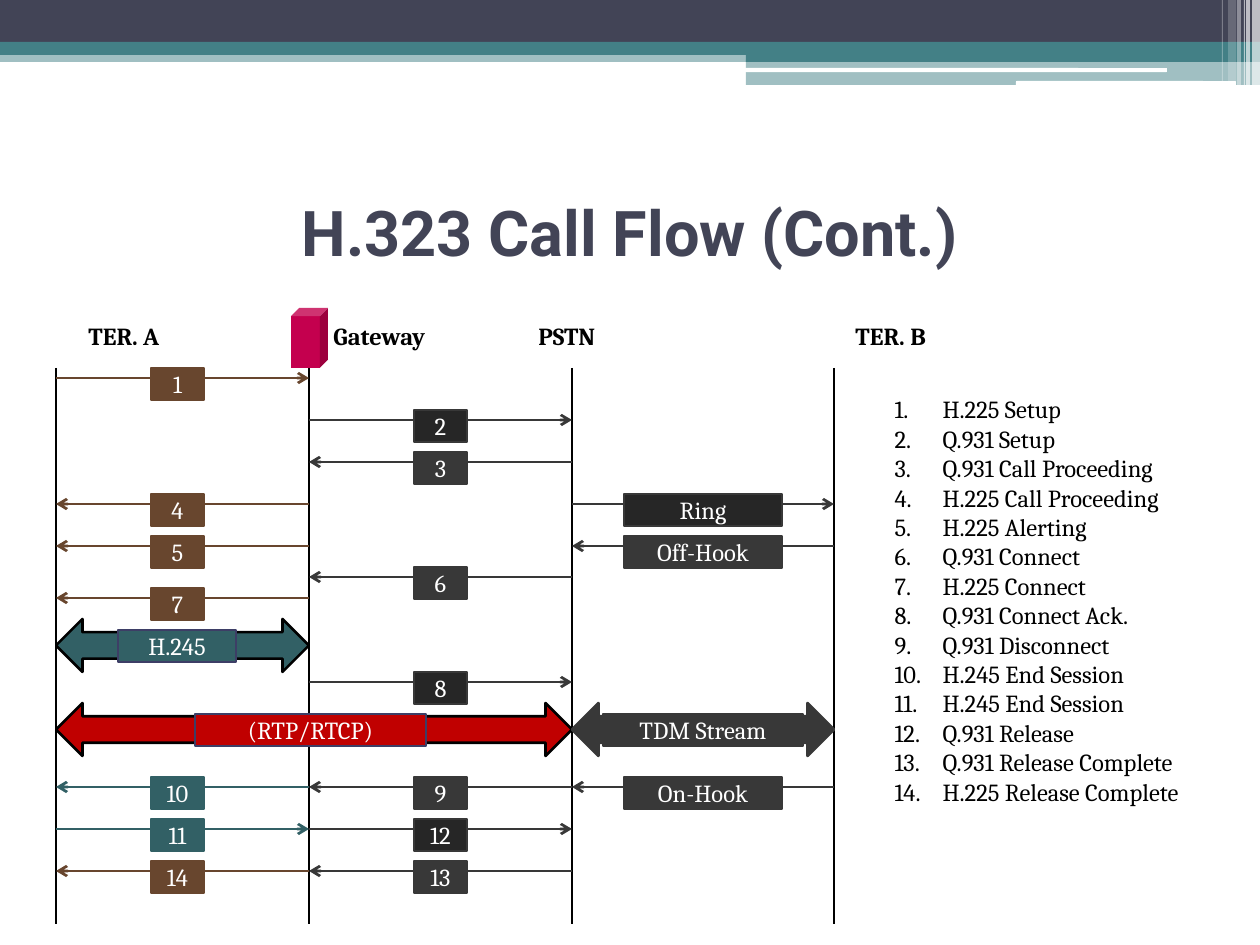
from lxml import etree
from pptx import Presentation
from pptx.dml.color import RGBColor
from pptx.enum.shapes import MSO_CONNECTOR, MSO_SHAPE
from pptx.enum.text import MSO_ANCHOR, MSO_AUTO_SIZE, PP_ALIGN
from pptx.oxml.ns import qn
from pptx.util import Emu, Pt

RECT, ROUND = MSO_SHAPE.RECTANGLE, MSO_SHAPE.ROUNDED_RECTANGLE
CUBE, DOUBLE_ARROW = MSO_SHAPE.CUBE, MSO_SHAPE.LEFT_RIGHT_ARROW
STRAIGHT = MSO_CONNECTOR.STRAIGHT
LEFT, CENTER = PP_ALIGN.LEFT, PP_ALIGN.CENTER
TOP, MIDDLE = MSO_ANCHOR.TOP, MSO_ANCHOR.MIDDLE
NO_AUTOFIT = MSO_AUTO_SIZE.NONE

WHITE = RGBColor(0xFF, 0xFF, 0xFF)
BLACK = RGBColor(0x00, 0x00, 0x00)
NAVY = RGBColor(0x42, 0x44, 0x56)
TEAL = RGBColor(0x43, 0x80, 0x86)
DARK_TEAL = RGBColor(0x32, 0x60, 0x65)
BROWN = RGBColor(0x68, 0x46, 0x2E)
GRAY = RGBColor(0x38, 0x38, 0x38)
DARK_GRAY = RGBColor(0x26, 0x26, 0x26)
RED = RGBColor(0xC0, 0x00, 0x00)
INDIGO = RGBColor(0x3D, 0x3E, 0x66)
PINK = RGBColor(0xC4, 0x00, 0x4E)

PX = 914400 / 126


def write(frame, lines, font="Cambria", size=14, color=BLACK, bold=False,
          align=LEFT, anchor=TOP, numbered=False):
    frame.word_wrap = True
    frame.auto_size = NO_AUTOFIT
    frame.vertical_anchor = anchor
    for index, line in enumerate(lines.split("\n")):
        para = frame.paragraphs[0] if index == 0 else frame.add_paragraph()
        if numbered:
            properties = para._p.get_or_add_pPr()
            properties.set("marL", str(int(48 * PX)))
            properties.set("indent", str(int(-48 * PX)))
            etree.SubElement(properties, qn("a:buFont"), typeface="+mj-lt")
            etree.SubElement(properties, qn("a:buAutoNum"), type="arabicPeriod")
        para.alignment = align
        para.space_before = Pt(0)
        span = para.add_run()
        span.text = line
        span.font.name = font
        span.font.size = Pt(size)
        span.font.bold = bold
        span.font.color.rgb = color


def add_block(kind, bounds, fill, line=None, opacity=100, text=None):
    shape = page.shapes.add_shape(kind, *(Emu(int(n * PX)) for n in bounds))
    shape.shadow.inherit = False
    shape.fill.solid()
    shape.fill.fore_color.rgb = fill
    if opacity < 100:
        tint = shape._element.spPr.find(".//" + qn("a:srgbClr"))
        etree.SubElement(tint, qn("a:alpha"), val=str(opacity * 1000))
    if line is None:
        shape.line.fill.background()
    else:
        shape.line.color.rgb = line
        shape.line.width = Pt(1.5)
    if text:
        write(shape.text_frame, text, color=WHITE, align=CENTER, anchor=MIDDLE)
    return shape


deck = Presentation()
deck.slide_width, deck.slide_height = Emu(int(1260 * PX)), Emu(int(945 * PX))
page = deck.slides.add_slide(deck.slide_layouts[1])

# Header bands and the pale stripes at their right end
for kind, bounds, fill, opacity in [
    (RECT, (0, 50, 1260, 12), TEAL, 50),
    (RECT, (0, 0, 1260, 43), NAVY, 100),
    (RECT, (0, 42, 1260, 13), TEAL, 100),
    (RECT, (746, 49, 514, 13), TEAL, 100),
    (RECT, (746, 60, 514, 25), TEAL, 50),
    (ROUND, (745, 68, 422, 4), WHITE, 100),
    (ROUND, (1016, 81, 220, 5), WHITE, 100),
]:
    add_block(kind, bounds, fill, opacity=opacity)
for left, width, height, opacity in [
    (1252, 8, 86, 65), (1246, 4, 86, 65), (1244, 1, 86, 60),
    (1237, 4, 86, 40), (1228, 8, 81, 20), (1222, 1, 81, 30),
]:
    add_block(RECT, (left, 0, width, height), WHITE, opacity=opacity)

# Title and numbered legend
title, legend = page.placeholders
legend_lines = """H.225 Setup
Q.931 Setup
Q.931 Call Proceeding
H.225 Call Proceeding
H.225 Alerting
Q.931 Connect
H.225 Connect
Q.931 Connect Ack.
Q.931 Disconnect
H.245 End Session
H.245 End Session
Q.931 Release
Q.931 Release Complete
H.225 Release Complete"""
for box, bounds in [(title, (63, 158, 1134, 147)), (legend, (882, 388, 340, 428))]:
    box.left, box.top, box.width, box.height = (Emu(int(n * PX)) for n in bounds)
write(title.text_frame, "H.323 Call Flow (Cont.)", font="Roboto", size=36,
      color=NAVY, bold=True, align=CENTER, anchor=MIDDLE)
write(legend.text_frame, legend_lines, numbered=True)

# Call parties
for name, left in [("TER. A", 76), ("Gateway", 321), ("PSTN", 526), ("TER. B", 843)]:
    label = page.shapes.add_textbox(*(Emu(int(n * PX)) for n in (left, 315, 135, 43)))
    write(label.text_frame, name, bold=True)

# Messages: text, from lifeline, to lifeline, y, colour
lifelines = [56, 309, 572, 834]
messages = [
    ("1", 0, 1, 378, BROWN), ("2", 1, 2, 420, GRAY), ("3", 2, 1, 462, GRAY),
    ("4", 1, 0, 504, BROWN), ("Ring", 2, 3, 504, GRAY),
    ("5", 1, 0, 546, BROWN), ("Off-Hook", 3, 2, 546, GRAY),
    ("6", 2, 1, 577, GRAY), ("7", 1, 0, 598, BROWN), ("8", 1, 2, 682, GRAY),
    ("10", 1, 0, 787, DARK_TEAL), ("9", 2, 1, 787, GRAY), ("On-Hook", 3, 2, 787, GRAY),
    ("11", 0, 1, 829, DARK_TEAL), ("12", 1, 2, 829, GRAY),
    ("14", 1, 0, 871, BROWN), ("13", 2, 1, 871, GRAY),
]
lines = [(x, 368, x, 924, BLACK, False) for x in lifelines]
lines += [(lifelines[start], y, lifelines[end], y, color, True)
          for _, start, end, y, color in messages]
for x1, y1, x2, y2, color, has_head in lines:
    line = page.shapes.add_connector(STRAIGHT, *(Emu(int(n * PX)) for n in (x1, y1, x2, y2)))
    line.line.color.rgb = color
    line.line.width = Pt(1.55)
    if has_head:
        etree.SubElement(line.line._get_or_add_ln(), qn("a:tailEnd"), type="arrow")
    etree.SubElement(line._element.spPr, qn("a:effectLst"))

box_places = [(151, 53), (414, 53), (624, 158)]
for text, start, end, y, color in messages:
    left, width = box_places[min(start, end)]
    fill = DARK_GRAY if color == GRAY and end > start else color
    add_block(RECT, (left, y - 10, width, 32), fill, line=color, text=text)

gateway = add_block(CUBE, (291, 308, 37, 60), PINK)
gateway.adjustments[0] = 0.22

# Two-way streams: text, lifelines, top, label place, colours
for text, start, end, top, left, width, fill, edge, label_edge in [
    ("H.245", 0, 1, 619, 118, 118, DARK_TEAL, BLACK, INDIGO),
    ("(RTP/RTCP)", 0, 2, 703, 195, 231, RED, BLACK, INDIGO),
    ("TDM Stream", 2, 3, 703, 603, 200, GRAY, GRAY, GRAY),
]:
    span_width = lifelines[end] - lifelines[start]
    add_block(DOUBLE_ARROW, (lifelines[start], top, span_width, 53), fill, line=edge)
    add_block(RECT, (left, top + 11, width, 32), fill, line=label_edge, text=text)

deck.save("out.pptx")
